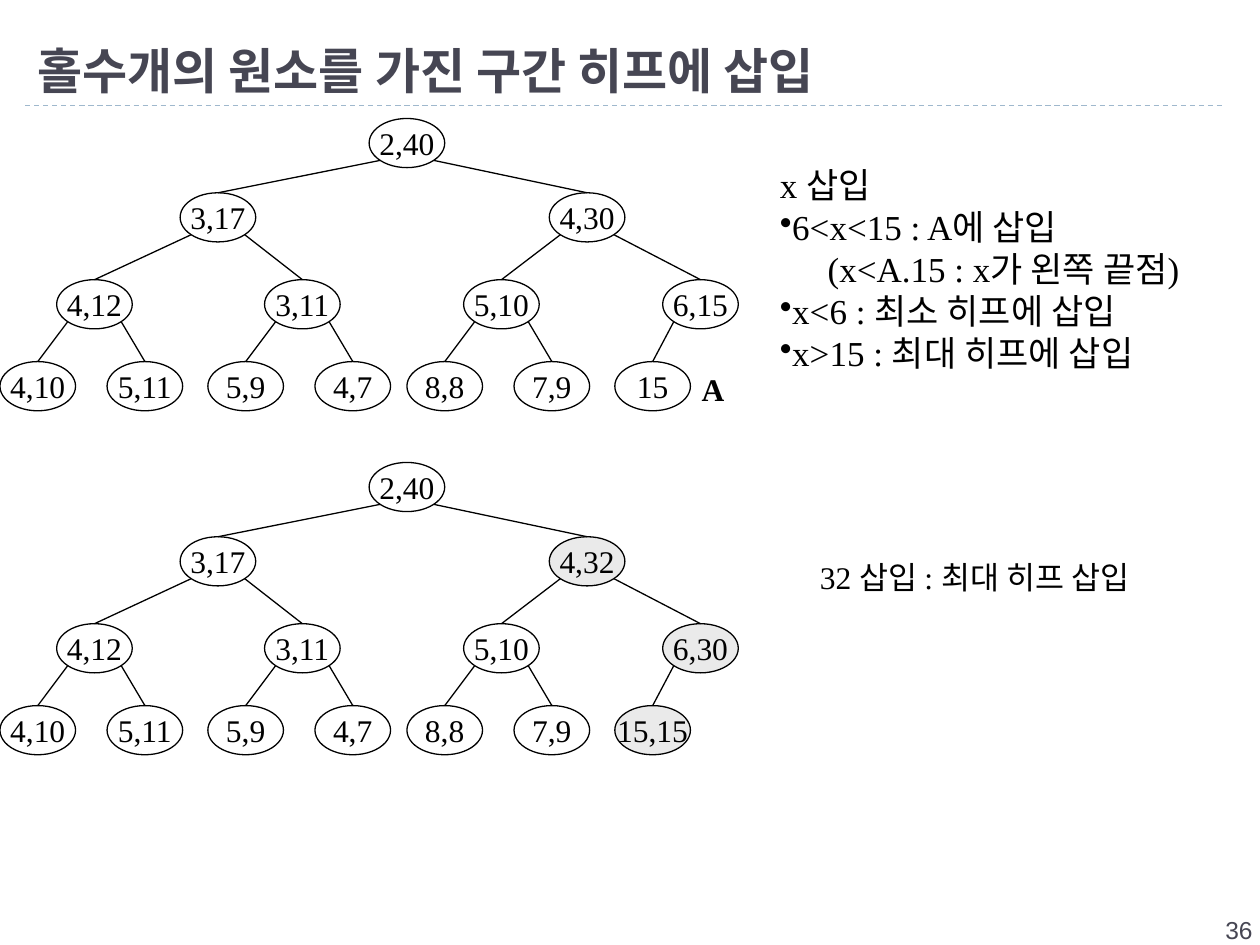
from lxml import etree
from pptx import Presentation
from pptx.dml.color import RGBColor
from pptx.enum.dml import MSO_LINE
from pptx.enum.shapes import MSO_CONNECTOR, MSO_SHAPE
from pptx.enum.text import MSO_ANCHOR, PP_ALIGN
from pptx.oxml.ns import qn
from pptx.util import Inches, Pt

STRAIGHT = MSO_CONNECTOR.STRAIGHT
OVAL = MSO_SHAPE.OVAL
DASH = MSO_LINE.DASH
MIDDLE, BOTTOM = MSO_ANCHOR.MIDDLE, MSO_ANCHOR.BOTTOM
LEFT, CENTER, RIGHT = PP_ALIGN.LEFT, PP_ALIGN.CENTER, PP_ALIGN.RIGHT

BLACK = RGBColor(0x00, 0x00, 0x00)
SLATE = RGBColor(0x46, 0x46, 0x53)
RULE = RGBColor(0x9F, 0xB8, 0xCD)
CHANGED = RGBColor(0xEA, 0xEA, 0xEA)
SERIF, SANS, KOREAN = "Times New Roman", "Arial", "Noto Sans CJK KR"

COLS, ROWS = 1000, 750
UNIT = Inches(10) // COLS
NODE_W, NODE_H = 60, 39
LEVEL_TOPS = [0, 59, 128, 193]
BRANCH_LEFTS = [293, 143, 436, 45, 210, 368, 526]
LEAF_LEFTS = [x + d for x in BRANCH_LEFTS[3:6] for d in (-45, 40)] + [488]
NODE_LEFTS = BRANCH_LEFTS + LEAF_LEFTS
DIAGONAL = 0.5 ** 0.5

BEFORE = ["2,40", "3,17", "4,30", "4,12", "3,11", "5,10", "6,15",
          "4,10", "5,11", "5,9", "4,7", "8,8", "7,9", "15"]
AFTER = BEFORE[:]
UPDATES = {2: "4,32", 6: "6,30", 13: "15,15"}
for index, label in UPDATES.items():
    AFTER[index] = label


def grid(*lengths):
    return [round(n * UNIT) for n in lengths]


def add_run(p, text, size, font=SERIF, color=BLACK, bold=False):
    r = p.add_run()
    r.text = text
    r.font.size = Pt(size)
    r.font.name = font
    r.font.bold = bold
    r.font.color.rgb = color
    ea = etree.SubElement(r.font._element, qn("a:ea"))
    ea.set("typeface", KOREAN)


def add_line(shapes, begin, end, color=BLACK):
    line = shapes.add_connector(STRAIGHT, *grid(*begin, *end))
    line.line.color.rgb = color
    line.line.width = Pt(0.75)
    etree.SubElement(line._element.spPr, qn("a:effectLst"))
    return line


def add_text(s, box, text, size, font=SERIF, color=BLACK, bold=False,
             align=LEFT, wrap=True):
    tf = s.shapes.add_textbox(*grid(*box)).text_frame
    tf.word_wrap = wrap
    p = tf.paragraphs[0]
    p.alignment = align
    add_run(p, text, size, font, color, bold)
    return tf


def add_title(s, box, text):
    left, top, width, height = box
    title = s.shapes.title
    title.left, title.top, title.width, title.height = grid(*box)
    tf = title.text_frame
    tf.vertical_anchor = BOTTOM
    p = tf.paragraphs[0]
    p.alignment = LEFT
    add_run(p, text, 28, KOREAN, SLATE, True)
    rule_y = top + height
    line = add_line(s.shapes, (left, rule_y), (left + 952, rule_y), RULE)
    line.line.dash_style = DASH


def add_node(shapes, left, top, label, changed):
    sp = shapes.add_shape(OVAL, *grid(left, top, NODE_W, NODE_H))
    sp.shadow.inherit = False
    if changed:
        sp.fill.solid()
        sp.fill.fore_color.rgb = CHANGED
    else:
        sp.fill.background()
    sp.line.color.rgb = BLACK
    sp.line.width = Pt(0.75)
    tf = sp.text_frame
    tf.word_wrap = False
    tf.vertical_anchor = MIDDLE
    p = tf.paragraphs[0]
    p.alignment = CENTER
    add_run(p, label, 18)
    return sp


def add_heap(s, left, top, labels, changed=()):
    shapes = s.shapes.add_group_shape().shapes
    spots = []
    for i, (x, label) in enumerate(zip(NODE_LEFTS, labels)):
        level = (i + 1).bit_length() - 1
        spot = (left + x, top + LEVEL_TOPS[level])
        spots.append(spot)
        node = add_node(shapes, *spot, label, i in changed)
        if i:
            px, py = spots[(i - 1) // 2]
            side = 1 if i % 2 == 0 else -1
            begin = (px + NODE_W / 2 * (1 + side * DIAGONAL),
                     py + NODE_H / 2 * (1 + DIAGONAL))
            edge = add_line(shapes, begin, (spot[0] + NODE_W / 2, spot[1]))
            edge.end_connect(node, 0)


def add_rules(s, box, heading, rules):
    tf = add_text(s, box, heading, 20)
    for text, bulleted in rules:
        p = tf.add_paragraph()
        pPr = p._p.get_or_add_pPr()
        pPr.set("marL", "0")
        pPr.set("indent", str(0 if bulleted else 38 * UNIT))
        if bulleted:
            etree.SubElement(pPr, qn("a:buChar")).set("char", "•")
        add_run(p, text, 20)


def main():
    prs = Presentation()
    prs.slide_width, prs.slide_height = grid(COLS, ROWS)
    s = prs.slides.add_slide(prs.slide_layouts[5])
    add_title(s, (20, 17, 961, 67), "홀수개의 원소를 가진 구간 히프에 삽입")
    add_text(s, (787, 721, 217, 40), "36", 14, SANS, SLATE, align=RIGHT)
    add_heap(s, 0, 367, AFTER, UPDATES)
    add_heap(s, 0, 94, BEFORE)
    add_rules(s, (609, 125, 339, 177), "x 삽입", [
        ("6<x<15 : A에 삽입", True),
        ("(x<A.15 : x가 왼쪽 끝점)", False),
        ("x<6 : 최소 히프에 삽입", True),
        ("x>15 : 최대 히프에 삽입", True),
    ])
    add_text(s, (547, 289, 38, 40), "A", 18, bold=True, wrap=False)
    add_text(s, (641, 438, 283, 40), "32 삽입 : 최대 히프 삽입", 18)
    prs.save("out.pptx")


if __name__ == "__main__":
    main()
